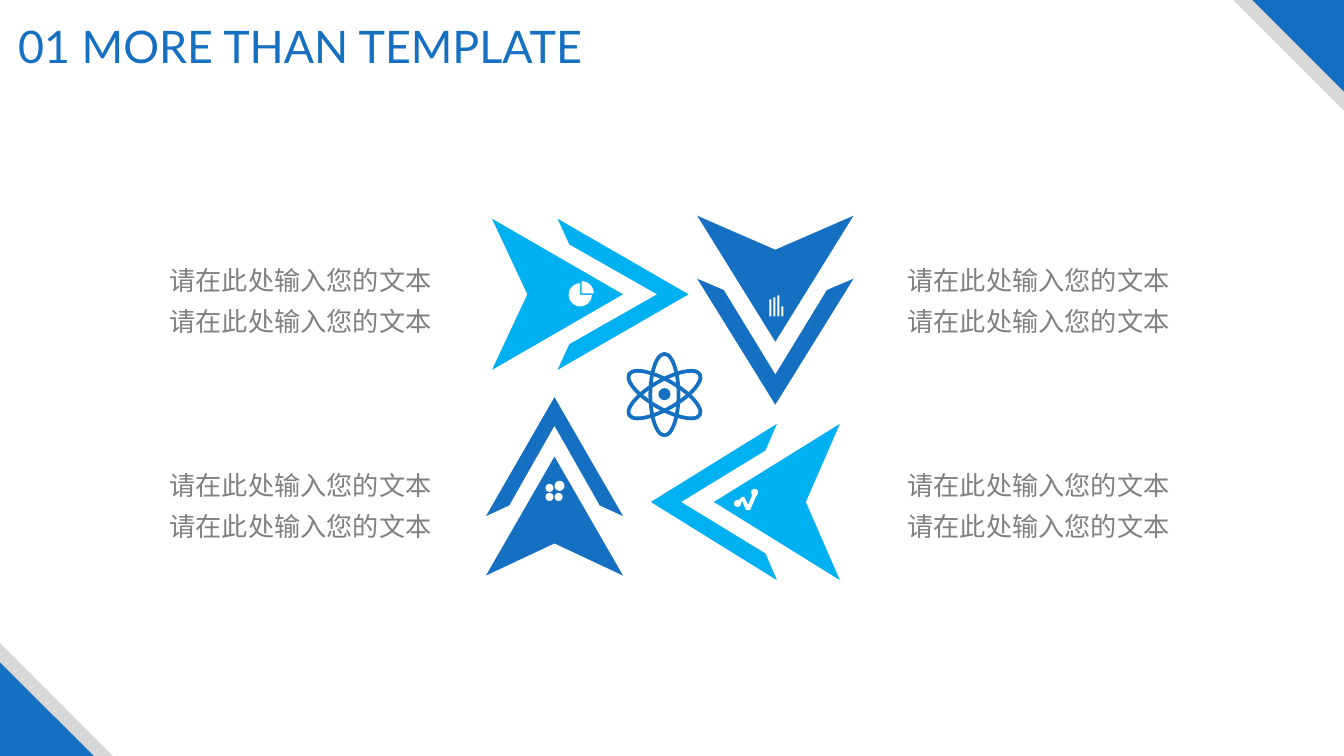
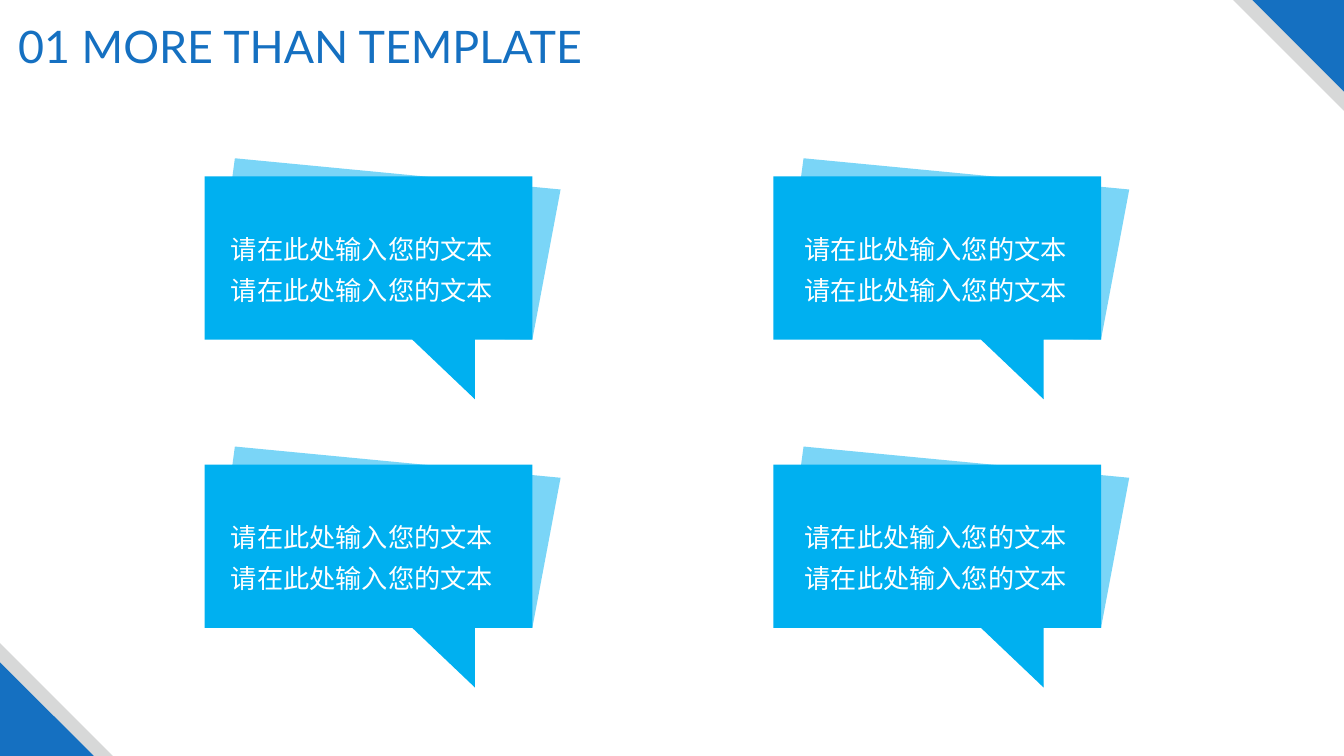
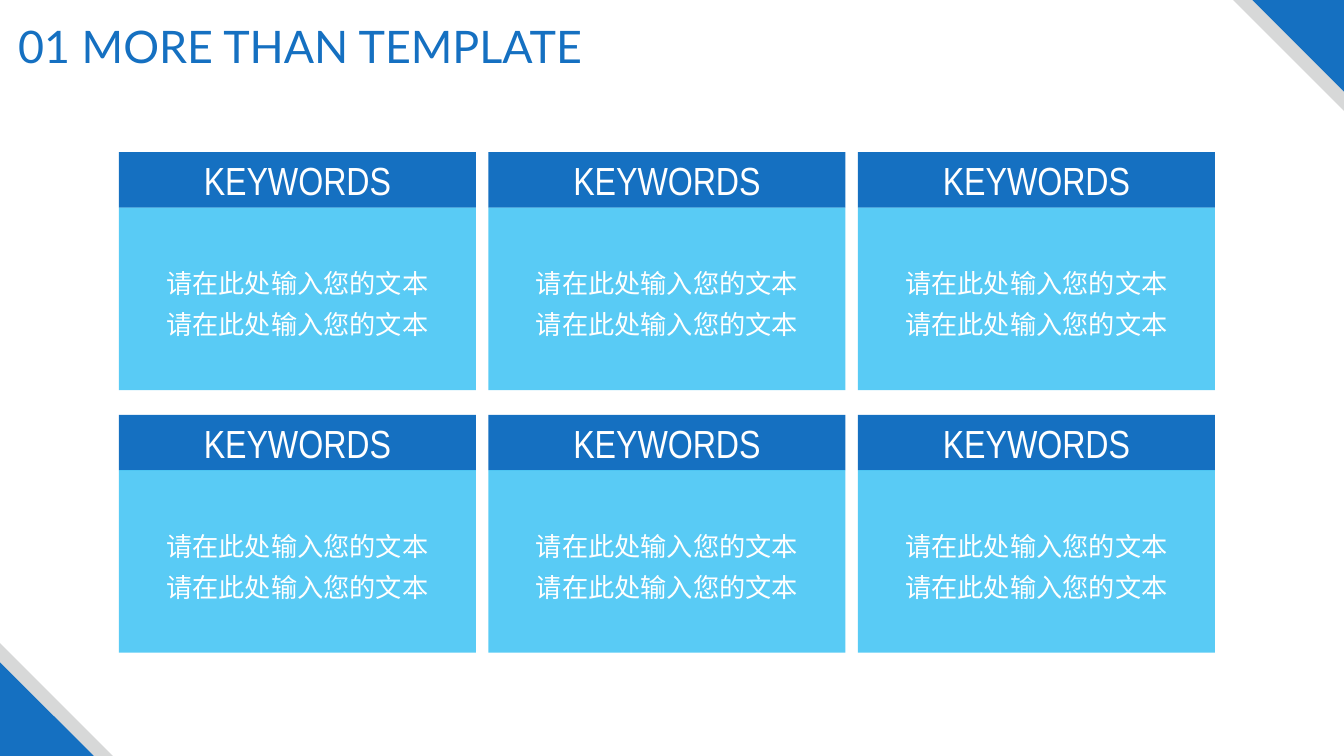
from lxml.etree import SubElement
from pptx import Presentation
from pptx.dml.color import RGBColor
from pptx.enum.shapes import MSO_SHAPE
from pptx.enum.text import MSO_ANCHOR, PP_ALIGN
from pptx.oxml.ns import qn
from pptx.util import Inches, Pt

BLUE = RGBColor(0x15, 0x70, 0xC1)
SKY = RGBColor(0x00, 0xB0, 0xF0)
SILVER = RGBColor(0xD7, 0xD8, 0xD8)
GRAY = RGBColor(0x80, 0x80, 0x80)
WHITE = RGBColor(0xFF, 0xFF, 0xFF)

WIDTH, HEIGHT = 13.33, 7.5
BODY = ["请在此处输入您的文本"] * 2
BODY_FORMAT = {"size": 18.7, "font": "Noto Sans CJK SC", "spacing": Pt(29.3)}


def write(tf, lines, size, font, color, spacing=1.0):
    tf.word_wrap = True
    tf.vertical_anchor = MSO_ANCHOR.MIDDLE
    for i, line in enumerate(lines):
        p = tf.add_paragraph() if i else tf.paragraphs[0]
        p.alignment = PP_ALIGN.CENTER
        p.line_spacing = spacing
        r = p.add_run()
        r.text = line
        r.font.size = Pt(size)
        r.font.name = font
        r.font.color.rgb = color
        SubElement(r.font._element, qn("a:ea"), typeface=font)


def draw(s, color, preset=None, at=None, points=None, alpha=None):
    if points:
        corners = [(Inches(x), Inches(y)) for x, y in points]
        builder = s.shapes.build_freeform(*corners[0])
        builder.add_line_segments(corners[1:])
        sp = builder.convert_to_shape()
    else:
        sp = s.shapes.add_shape(preset, *map(Inches, at))
    sp.shadow.inherit = False
    sp.fill.solid()
    sp.fill.fore_color.rgb = color
    if alpha:
        clr = sp._element.spPr.find(".//" + qn("a:srgbClr"))
        SubElement(clr, qn("a:alpha"), val=str(alpha * 1000))
    sp.line.fill.background()
    return sp


prs = Presentation()
prs.slide_width, prs.slide_height = Inches(WIDTH), Inches(HEIGHT)

slides = []
for _ in range(3):
    s = prs.slides.add_slide(prs.slide_layouts[5])
    for color, top, bottom in [(SILVER, 1.1, 1.12), (BLUE, 0.91, 0.93)]:
        sp = draw(s, color, MSO_SHAPE.RIGHT_TRIANGLE, (WIDTH - top, 0, top, top))
        sp.rotation = 180
        draw(s, color, MSO_SHAPE.RIGHT_TRIANGLE, (0, HEIGHT - bottom, bottom, bottom))
    title = s.shapes.title
    title.left, title.top = Inches(0.02), Inches(0.13)
    title.width, title.height = Inches(5.92), Inches(0.64)
    tf = title.text_frame
    tf.margin_left = tf.margin_right = 0
    write(tf, ["01 MORE THAN TEMPLATE"], 32, "Lato", BLUE)
    slides.append(s)
arrows, callouts, cards = slides

HEAD = [(0, 0), (1, 0.5), (0, 1), (0.27, 0.5)]
CHEVRON = [(0, 0), (0.09, 0.17), (0.76, 0.5), (0.09, 0.83), (0, 1), (1, 0.5)]
for x, y, dx, dy, length, breadth, color in [
    (4.88, 2.92, 1, 0, 1.3, 1.5, SKY),
    (7.69, 2.14, 0, 1, 1.25, 1.55, BLUE),
    (5.5, 5.71, 0, -1, 1.18, 1.36, BLUE),
    (8.33, 4.98, -1, 0, 1.25, 1.55, SKY),
]:
    for outline, shift in [(HEAD, 0), (CHEVRON, 0.5)]:
        points = []
        for u, v in outline:
            along, across = (u + shift) * length, (v - 0.5) * breadth
            points.append((x + along * dx - across * dy, y + along * dy + across * dx))
        draw(arrows, color, points=points)

draw(arrows, WHITE, MSO_SHAPE.PIE, (5.64, 2.81, 0.23, 0.23))
quarter = draw(arrows, WHITE, MSO_SHAPE.PIE, (5.65, 2.79, 0.24, 0.24))
quarter.adjustments[0] = 162
quarter.adjustments[1] = 0

for angle in (0, 60, 120):
    orbit = draw(arrows, BLUE, MSO_SHAPE.OVAL, (6.45, 3.51, 0.28, 0.81))
    orbit.fill.background()
    orbit.line.color.rgb = BLUE
    orbit.line.width = Pt(2.7)
    orbit.rotation = angle
draw(arrows, BLUE, MSO_SHAPE.OVAL, (6.53, 3.85, 0.12, 0.12))

for x, y, d in [
    (5.41, 4.8, 0.08), (5.5, 4.77, 0.1), (5.41, 4.89, 0.08), (5.5, 4.89, 0.08),
    (7.28, 4.96, 0.07), (7.45, 4.85, 0.07),
]:
    draw(arrows, WHITE, MSO_SHAPE.OVAL, (x, y, d, d))
draw(arrows, WHITE, points=[
    (7.51, 4.91), (7.46, 4.91), (7.42, 5.01), (7.38, 4.93), (7.36, 4.93), (7.32, 4.97),
    (7.34, 5.01), (7.36, 4.97), (7.4, 5.06), (7.44, 5.06), (7.5, 4.92),
])
for i, bar in enumerate([0.17, 0.19, 0.21, 0.1]):
    draw(arrows, WHITE, MSO_SHAPE.RECTANGLE, (7.63 + 0.04 * i, 3.14 - bar, 0.02, bar))

BACK = [(5.56, 1.88), (2.33, 1.57), (2.11, 3.2), (4.17, 3.33),
        (4.71, 3.96), (4.66, 3.36), (5.28, 3.37)]
FRONT = [(5.28, 1.75), (2.03, 1.75), (2.03, 3.37), (4.09, 3.37),
         (4.71, 3.96), (4.71, 3.37), (5.28, 3.37)]
for dy in (0, 2.86):
    for dx in (0, 5.64):
        for outline, alpha in [(BACK, 52), (FRONT, None)]:
            points = [(x + dx, y + dy) for x, y in outline]
            draw(callouts, SKY, points=points, alpha=alpha)

for s, lefts, tops, color in [
    (arrows, (1.52, 8.84), (2.47, 4.51), GRAY),
    (callouts, (2.13, 7.82), (2.17, 5.02), WHITE),
]:
    for top in tops:
        for left in lefts:
            box = s.shapes.add_textbox(Inches(left), Inches(top), Inches(2.92), Inches(0.92))
            write(box.text_frame, BODY, color=color, **BODY_FORMAT)

for row in range(2):
    for col in range(3):
        x, y = 1.18 + 3.665 * col, 1.51 + 2.605 * row
        header = draw(cards, BLUE, MSO_SHAPE.RECTANGLE, (x, y, 3.54, 0.55))
        write(header.text_frame, ["KEYWORDS"], 28, "Arial Narrow", WHITE)
        panel = draw(cards, SKY, MSO_SHAPE.RECTANGLE, (x, y + 0.55, 3.54, 1.81), alpha=65)
        write(panel.text_frame, BODY, color=WHITE, **BODY_FORMAT)

prs.save("out.pptx")
